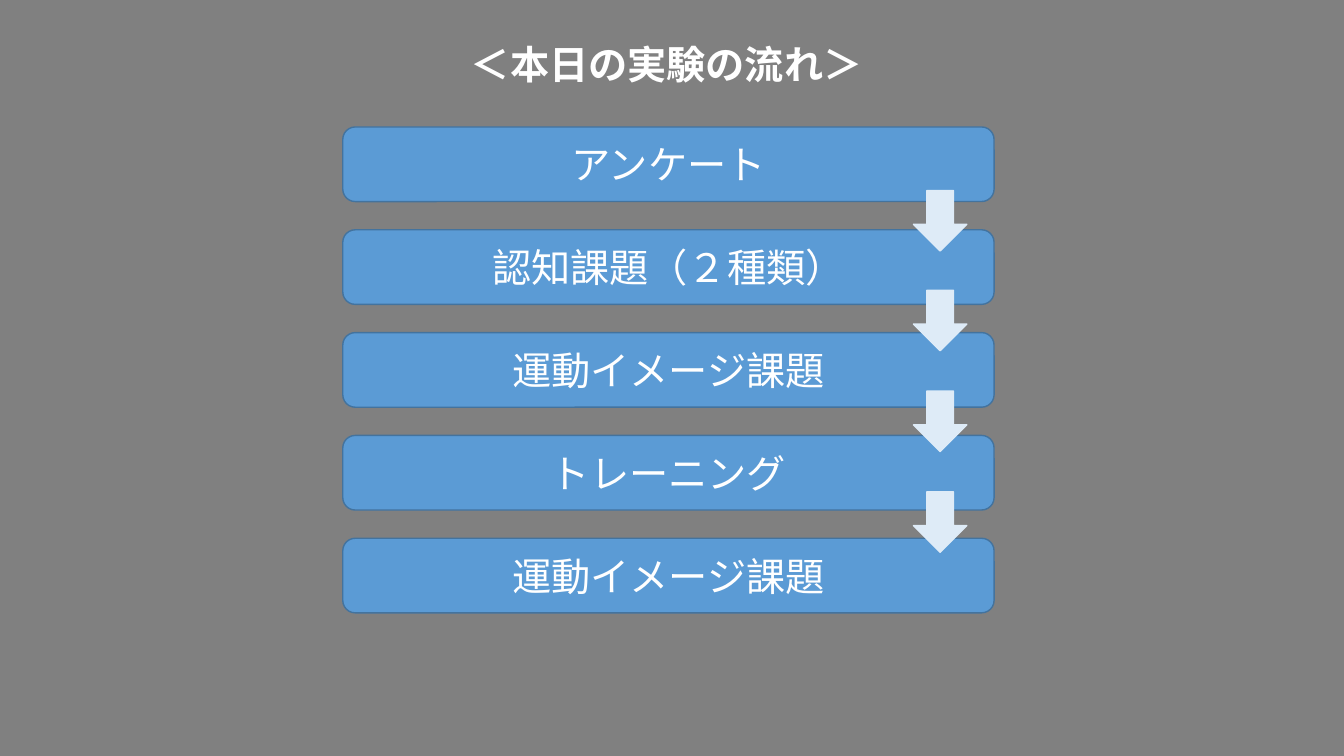
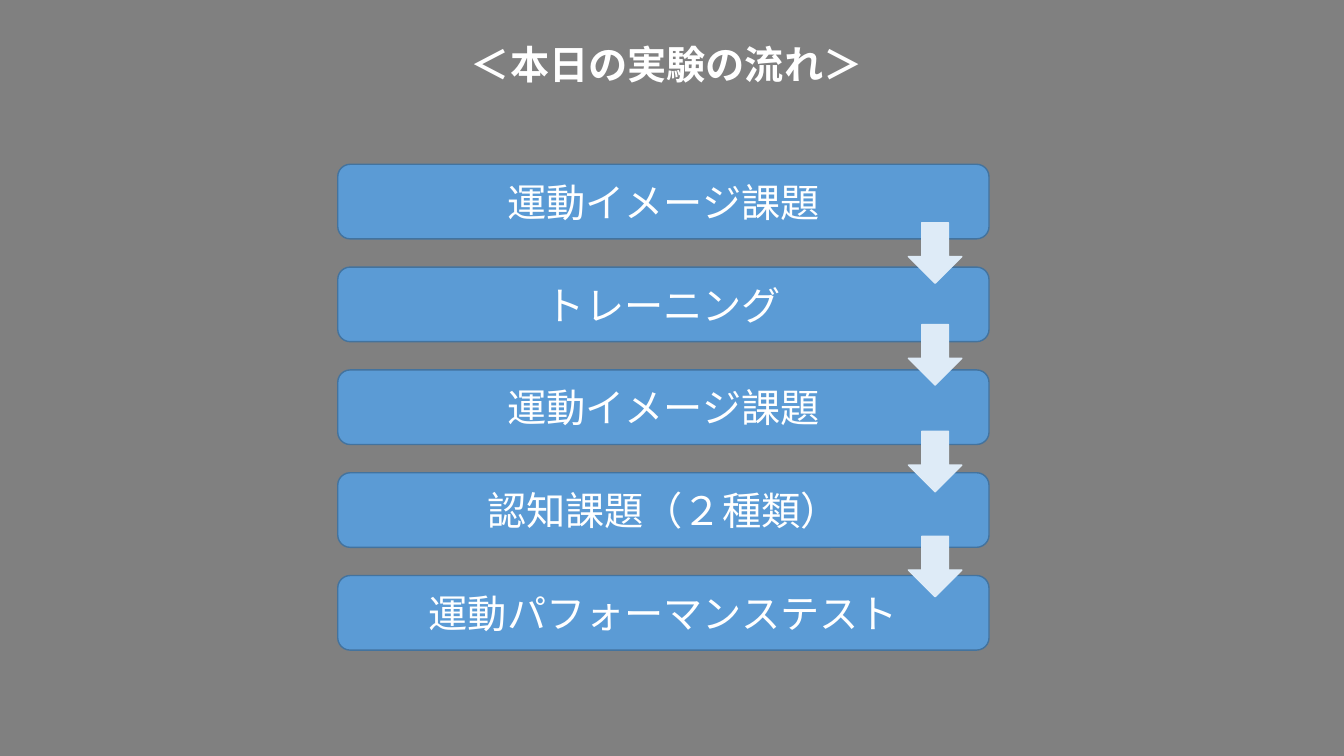
from dataclasses import dataclass

from lxml import etree
from pptx import Presentation
from pptx.dml.color import RGBColor
from pptx.enum.shapes import MSO_SHAPE
from pptx.enum.text import MSO_ANCHOR, MSO_AUTO_SIZE, PP_ALIGN
from pptx.oxml.ns import qn
from pptx.util import Inches, Pt

ROUNDED = MSO_SHAPE.ROUNDED_RECTANGLE
DOWN_ARROW = MSO_SHAPE.DOWN_ARROW
MIDDLE, TOP = MSO_ANCHOR.MIDDLE, MSO_ANCHOR.TOP
CENTER, LEFT = PP_ALIGN.CENTER, PP_ALIGN.LEFT
GROW = MSO_AUTO_SIZE.SHAPE_TO_FIT_TEXT
TITLE_ONLY = 5


@dataclass(frozen=True)
class Theme:
    """Colours, type and lengths (inches) that both slides share."""
    background: str = "808080"
    step_fill: str = "5B9BD5"
    step_line: str = "43739E"
    arrow: str = "DEEBF7"
    text: str = "FFFFFF"
    font: str = "Noto Sans CJK JP"
    size: int = 28
    line_width: int = 1
    slide_size: tuple = (13.33, 7.5)
    title_area: tuple = (4.57, 0.35, 4.13, 0.57)
    step_size: tuple = (6.46, 0.74)
    step_pitch: float = 1.02
    arrow_size: tuple = (0.53, 0.6)
    arrow_offset: float = 5.66


THEME = Theme()
TITLE = "＜本日の実験の流れ＞"
SURVEY = "アンケート"
COGNITION = "認知課題（２種類）"
IMAGERY = "運動イメージ課題"
TRAINING = "トレーニング"
PERFORMANCE = "運動パフォーマンステスト"

FLOWS = [
    {"left": 3.4, "top": 1.26,
     "steps": [SURVEY, COGNITION, IMAGERY, TRAINING, IMAGERY],
     "arrow_tops": [1.89, 2.88, 3.88, 4.88]},
    {"left": 3.35, "top": 1.63,
     "steps": [IMAGERY, TRAINING, IMAGERY, COGNITION, PERFORMANCE],
     "arrow_tops": [2.21, 3.22, 4.28, 5.32]},
]


def apply(target, values):
    """Set every attribute named in values on target."""
    for name, value in values.items():
        setattr(target, name, value)


def place(shape, area):
    """Move and size a shape to an area in inches."""
    names = ("left", "top", "width", "height")
    apply(shape, dict(zip(names, map(Inches, area))))


def write(frame, text, alignment, bold=False):
    """Put one formatted paragraph into a text frame."""
    para = frame.paragraphs[0]
    para.alignment = alignment
    span = para.add_run()
    span.text = text
    apply(span.font, {"name": THEME.font, "size": Pt(THEME.size), "bold": bold})
    span.font.color.rgb = RGBColor.from_string(THEME.text)
    properties = span.font._element if hasattr(span.font, "_element") else span._r.rPr
    etree.SubElement(properties, qn("a:ea"), typeface=THEME.font)


def add_block(slide, kind, area, fill, line):
    """Add a flat preset shape with a solid fill and outline."""
    block = slide.shapes.add_shape(kind, *map(Inches, area))
    block.shadow.inherit = False
    block.fill.solid()
    block.fill.fore_color.rgb = RGBColor.from_string(fill)
    block.line.color.rgb = RGBColor.from_string(line)
    block.line.width = Pt(THEME.line_width)
    return block


def add_step(slide, left, top, text):
    """Add one labelled step of the flow."""
    area = (left, top, *THEME.step_size)
    step = add_block(slide, ROUNDED, area, THEME.step_fill, THEME.step_line)
    step.text_frame.vertical_anchor = MIDDLE
    write(step.text_frame, text, CENTER)


def add_arrow(slide, left, top):
    """Add an arrow that leads to the next step."""
    area = (left, top, *THEME.arrow_size)
    add_block(slide, DOWN_ARROW, area, THEME.arrow, THEME.arrow)


def add_title(slide):
    """Fill the title placeholder with the shared heading."""
    title = slide.shapes.title
    place(title, THEME.title_area)
    apply(title.text_frame,
          {"word_wrap": False, "auto_size": GROW, "vertical_anchor": TOP})
    write(title.text_frame, TITLE, LEFT, bold=True)


def add_flow_slide(deck, left, top, steps, arrow_tops):
    """Add a slide with a column of steps joined by arrows."""
    slide = deck.slides.add_slide(deck.slide_layouts[TITLE_ONLY])
    add_title(slide)
    for index, text in enumerate(steps):
        add_step(slide, left, top + index * THEME.step_pitch, text)
    for arrow_top in arrow_tops:
        add_arrow(slide, left + THEME.arrow_offset, arrow_top)


def main():
    """Build and save the deck."""
    deck = Presentation()
    deck.slide_width, deck.slide_height = map(Inches, THEME.slide_size)
    background = deck.slide_master.background.fill
    background.solid()
    background.fore_color.rgb = RGBColor.from_string(THEME.background)
    for flow in FLOWS:
        add_flow_slide(deck, **flow)
    deck.save("out.pptx")


if __name__ == "__main__":
    main()
